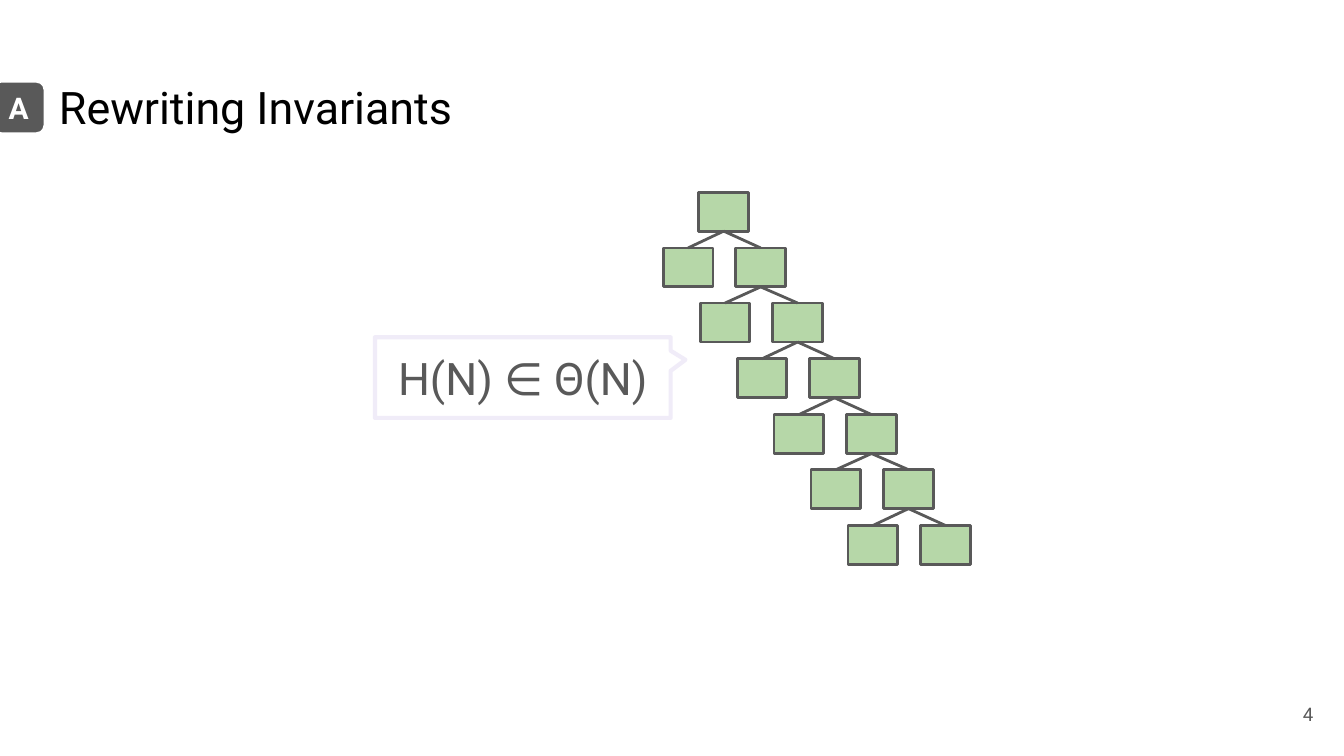
from dataclasses import dataclass

from lxml.etree import SubElement
from pptx import Presentation
from pptx.dml.color import RGBColor
from pptx.enum.shapes import MSO_CONNECTOR as Connector, MSO_SHAPE as Preset
from pptx.enum.text import MSO_ANCHOR as Anchor, PP_ALIGN as Align
from pptx.oxml.ns import qn
from pptx.util import Emu, Pt

PX_PER_INCH = 200
EMU_PER_PX = 914400 // PX_PER_INCH

GRAY = "595959"
WHITE = "FFFFFF"
BLACK = "000000"
GREEN = "B6D7A8"
LAVENDER = "F0ECF8"

TREE_LEVELS = 7
NODE_WIDTH, NODE_HEIGHT = 74, 58
ROOT_X, ROOT_Y = 1040, 286
LEVEL_DX, LEVEL_DY = 55, 82.67
SIBLING_DX = 108
BOTTOM, TOP = 2, 0


@dataclass(frozen=True)
class Box:
    x: int
    y: int
    width: int
    height: int

    def emu(self) -> list[Emu]:
        return [px(v) for v in (self.x, self.y, self.width, self.height)]


def px(length: int) -> Emu:
    return Emu(length * EMU_PER_PX)


def color(hex_value: str) -> RGBColor:
    return RGBColor.from_string(hex_value)


def write(shape, text: str, *, size: int, fill: str, bold: bool = False,
          align: Align = Align.LEFT, anchor: Anchor = Anchor.MIDDLE) -> None:
    frame = shape.text_frame
    frame.word_wrap = True
    frame.vertical_anchor = anchor
    frame.margin_left = frame.margin_right = px(20)
    frame.margin_top = frame.margin_bottom = px(20)
    paragraph = frame.paragraphs[0]
    paragraph.alignment = align
    run = paragraph.add_run()
    run.text = text
    run.font.name = "Roboto"
    run.font.size = Pt(size)
    run.font.bold = bold
    run.font.color.rgb = color(fill)


def add_box(slide, preset: Preset, box: Box, *, fill: str, line: str,
            line_width: float, adjustments: tuple[float, ...] = ()):
    shape = slide.shapes.add_shape(preset, *box.emu())
    shape.shadow.inherit = False
    shape.fill.solid()
    shape.fill.fore_color.rgb = color(fill)
    shape.line.color.rgb = color(line)
    shape.line.width = Pt(line_width)
    for index, value in enumerate(adjustments):
        shape.adjustments[index] = value
    return shape


def add_node(slide, x: int, y: int):
    return add_box(slide, Preset.RECTANGLE, Box(x, y, NODE_WIDTH, NODE_HEIGHT),
                   fill=GREEN, line=GRAY, line_width=1.5)


def add_edge(slide, parent, child) -> None:
    edge = slide.shapes.add_connector(Connector.STRAIGHT, 0, 0, 0, 0)
    edge.begin_connect(parent, BOTTOM)
    edge.end_connect(child, TOP)
    edge.line.color.rgb = color(GRAY)
    edge.line.width = Pt(1.5)
    SubElement(edge._element.spPr, qn("a:effectLst"))


def add_spindly_tree(slide) -> None:
    """Draw a tree in which only the right child of each level has children."""
    parent = add_node(slide, ROOT_X, ROOT_Y)
    for level in range(1, TREE_LEVELS):
        x = ROOT_X + level * LEVEL_DX
        y = ROOT_Y + round(level * LEVEL_DY)
        left = add_node(slide, x - SIBLING_DX, y)
        right = add_node(slide, x, y)
        add_edge(slide, parent, left)
        add_edge(slide, parent, right)
        parent = right


def main() -> None:
    deck = Presentation()
    deck.slide_width, deck.slide_height = px(2000), px(1125)
    slide = deck.slides.add_slide(deck.slide_layouts[6])

    title = slide.shapes.add_textbox(*Box(68, 98, 1864, 126).emu())
    write(title, "Rewriting Invariants", size=24, fill=BLACK, anchor=Anchor.TOP)

    page_number = slide.shapes.add_textbox(*Box(1854, 1020, 120, 86).emu())
    write(page_number, "4", size=10, fill=GRAY, align=Align.RIGHT)

    badge = add_box(slide, Preset.ROUNDED_RECTANGLE, Box(-12, 120, 80, 80),
                    fill=GRAY, line=WHITE, line_width=2.25, adjustments=(0.17,))
    write(badge, "A", size=16, fill=WHITE, bold=True, align=Align.CENTER)

    add_spindly_tree(slide)

    height_bound = add_box(slide, Preset.ROUNDED_RECTANGULAR_CALLOUT,
                           Box(558, 502, 440, 120), fill=WHITE, line=LAVENDER,
                           line_width=2.25, adjustments=(0.55, -0.22, 0))
    write(height_bound, "H(N) ∈ Θ(N)", size=24, fill=GRAY, align=Align.CENTER)

    deck.save("out.pptx")


if __name__ == "__main__":
    main()
